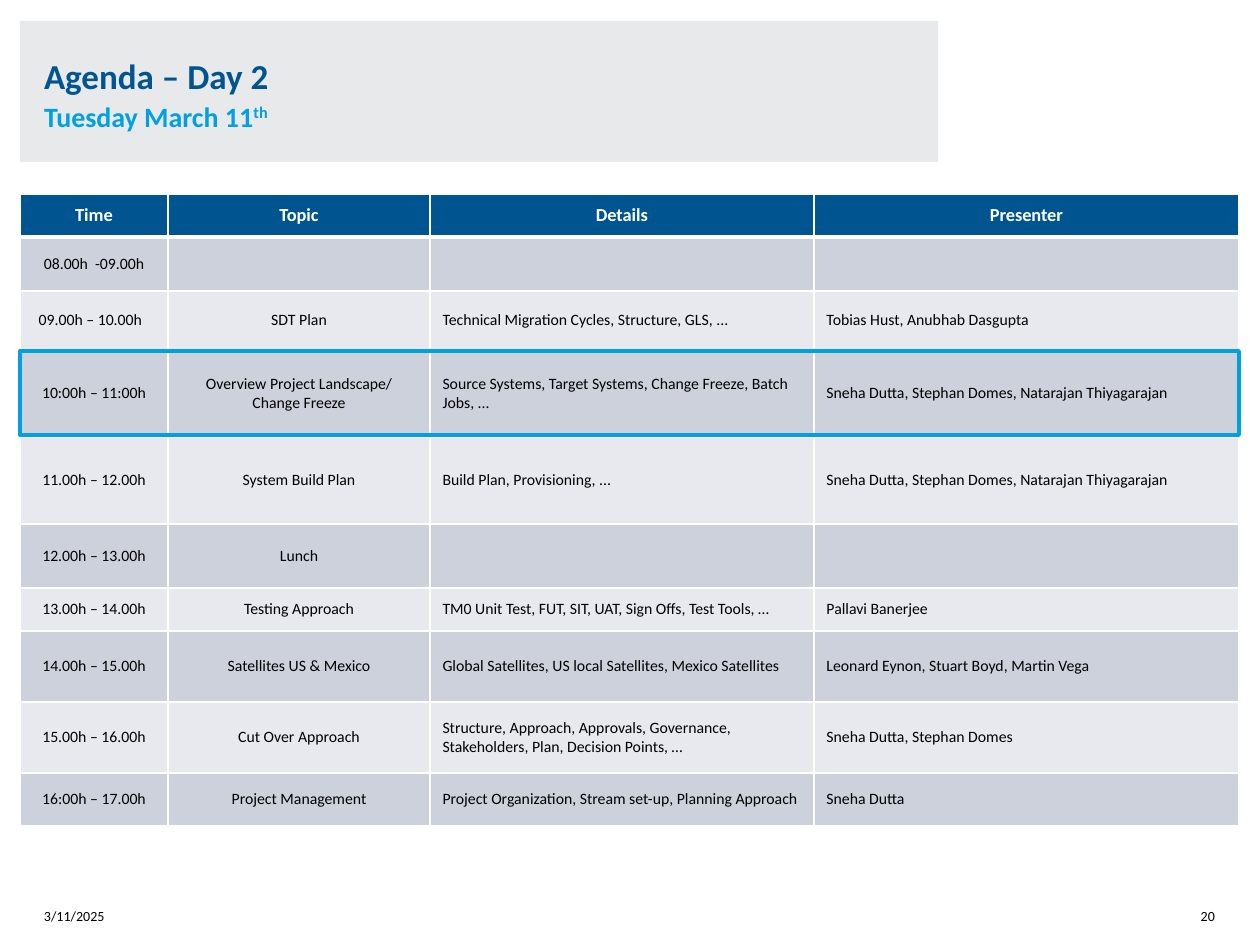
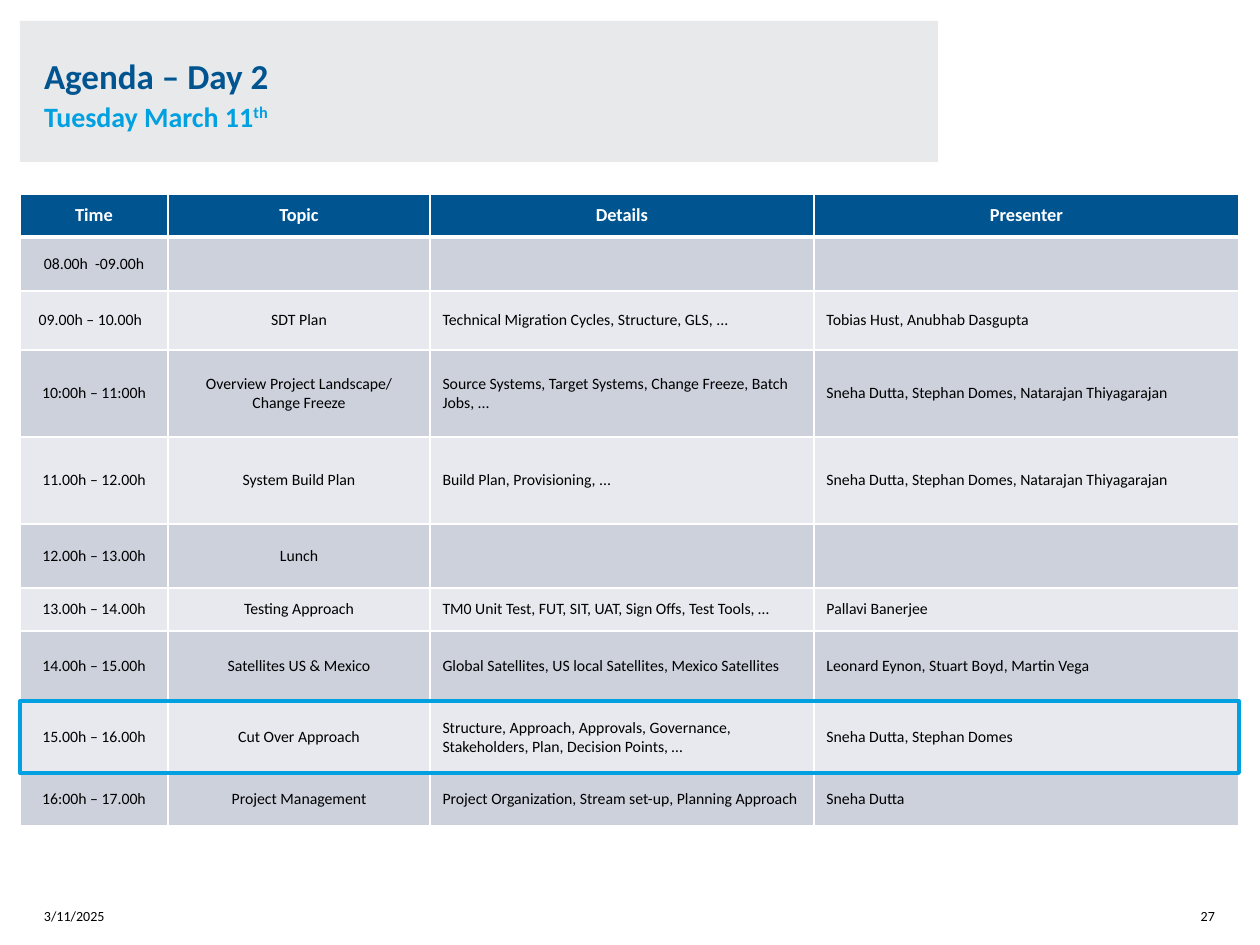
"""Build two agenda slides that each highlight the current session."""
import lxml.etree
import pptx
import pptx.dml.color
import pptx.enum.shapes
import pptx.enum.text
import pptx.oxml.ns
import pptx.util

SCALE = 914400 // 126
FONT = "Calibri"
COLORS = {
    "navy": "005591",
    "sky": "00A0E1",
    "band": "E8E9EB",
    "odd_row": "CCD1DC",
    "even_row": "E7E9EE",
    "white": "FFFFFF",
    "black": "000000",
}
ALIGN = pptx.enum.text.PP_ALIGN
ANCHOR = pptx.enum.text.MSO_ANCHOR
RECTANGLE = pptx.enum.shapes.MSO_SHAPE.RECTANGLE

TITLE = "Agenda – Day 2"
SUBTITLE = "Tuesday March 11"
ORDINAL = "th"
DATE = "3/11/2025"
HEADER = ("Time", "Topic", "Details", "Presenter")
SESSIONS = [
    ("08.00h  -09.00h", "", "", ""),
    ("09.00h – 10.00h", "SDT Plan", "Technical Migration Cycles, Structure, GLS, ...",
     "Tobias Hust, Anubhab Dasgupta"),
    ("10:00h – 11:00h", "Overview Project Landscape/ Change Freeze",
     "Source Systems, Target Systems, Change Freeze, Batch Jobs, ...",
     "Sneha Dutta, Stephan Domes, Natarajan Thiyagarajan"),
    ("11.00h – 12.00h", "System Build Plan", "Build Plan, Provisioning, ...",
     "Sneha Dutta, Stephan Domes, Natarajan Thiyagarajan"),
    ("12.00h – 13.00h", "Lunch", "", ""),
    ("13.00h – 14.00h", "Testing Approach",
     "TM0 Unit Test, FUT, SIT, UAT, Sign Offs, Test Tools, …", "Pallavi Banerjee"),
    ("14.00h – 15.00h", "Satellites US & Mexico",
     "Global Satellites, US local Satellites, Mexico Satellites",
     "Leonard Eynon, Stuart Boyd, Martin Vega"),
    ("15.00h – 16.00h", "Cut Over Approach",
     "Structure, Approach, Approvals, Governance, Stakeholders, Plan, Decision Points, …",
     "Sneha Dutta, Stephan Domes"),
    ("16:00h – 17.00h", "Project Management",
     "Project Organization, Stream set-up, Planning Approach", "Sneha Dutta"),
]
SLIDES = [
    {"page": "20", "highlight_top": 351, "highlight_height": 84},
    {"page": "27", "highlight_top": 701, "highlight_height": 72},
]

BAND = (20, 21, 918, 141)
DATE_BOX = (44, 889, 100, 35)
PAGE_BOX = (1166, 889, 49, 35)
TABLE_LEFT, TABLE_TOP = 20, 194
COLUMN_WIDTHS = [148, 262, 384, 425]
ROW_HEIGHTS = [43, 54, 59, 87, 87, 64, 43, 71, 71, 53]
TABLE_WIDTH = sum(COLUMN_WIDTHS)
WIDE_RIGHT_MARGINS = {"09.00h – 10.00h": 20}


def px(length):
    return pptx.util.Emu(length * SCALE)


def place(rect):
    return [px(length) for length in rect]


def rgb(name):
    return pptx.dml.color.RGBColor.from_string(COLORS[name])


def style(font, size, color, bold=False):
    font.name = FONT
    font.size = pptx.util.Pt(size)
    font.bold = bold
    font.color.rgb = rgb(color)


def add_span(para, text, size, color, bold=False):
    span = para.add_run()
    span.text = text
    style(span.font, size, color, bold)
    return span


def add_box(slide, rect, anchor, side_inset=0):
    frame = slide.shapes.add_textbox(*place(rect)).text_frame
    frame.word_wrap = True
    frame.vertical_anchor = anchor
    frame.margin_left = frame.margin_right = px(side_inset)
    frame.margin_top = frame.margin_bottom = 0
    return frame.paragraphs[0]


def add_rectangle(slide, rect):
    shape = slide.shapes.add_shape(RECTANGLE, *place(rect))
    shape.shadow.inherit = False
    return shape


def add_title(slide):
    band = add_rectangle(slide, BAND)
    band.fill.solid()
    band.fill.fore_color.rgb = rgb("band")
    band.line.fill.background()
    para = add_box(slide, BAND, ANCHOR.MIDDLE, 24)
    para.line_spacing = 1.1
    add_span(para, TITLE, 20, "navy", True)
    para.add_line_break()
    add_span(para, SUBTITLE, 16, "sky", True)
    ordinal = add_span(para, ORDINAL, 16, "sky", True)
    ordinal.font._element.set("baseline", "30000")


def add_footer(slide, page):
    add_span(add_box(slide, DATE_BOX, ANCHOR.BOTTOM), DATE, 8, "black")
    para = add_box(slide, PAGE_BOX, ANCHOR.BOTTOM)
    para.alignment = ALIGN.RIGHT
    add_span(para, page, 8, "black")


def add_borders(cell, top, bottom):
    properties = cell._tc.get_or_add_tcPr()
    qn = pptx.oxml.ns.qn
    for side, width in (("L", 1), ("R", 1), ("T", top), ("B", bottom)):
        line = lxml.etree.SubElement(properties, qn("a:ln" + side), w=str(width * 12700))
        fill = lxml.etree.SubElement(line, qn("a:solidFill"))
        lxml.etree.SubElement(fill, qn("a:srgbClr"), val=COLORS["white"])


def fill_cell(cell, text, row, column):
    is_header = row == 0
    add_borders(cell, 3 if row == 1 else 1, 3 if is_header else 1)
    cell.fill.solid()
    cell.fill.fore_color.rgb = rgb("navy" if is_header else "odd_row" if row % 2 else "even_row")
    cell.vertical_anchor = ANCHOR.MIDDLE
    if text in WIDE_RIGHT_MARGINS:
        cell.margin_right = px(WIDE_RIGHT_MARGINS[text])
    para = cell.text_frame.paragraphs[0]
    para.alignment = ALIGN.CENTER if is_header or column < 2 else ALIGN.LEFT
    size, color = (10.5, "white") if is_header else (9, "black")
    if text:
        add_span(para, text, size, color, is_header)
    else:
        para.font.size = pptx.util.Pt(size)


def add_agenda(slide):
    rows = [HEADER] + SESSIONS
    rect = (TABLE_LEFT, TABLE_TOP, TABLE_WIDTH, sum(ROW_HEIGHTS))
    table = slide.shapes.add_table(len(rows), len(HEADER), *place(rect)).table
    for column, width in zip(table.columns, COLUMN_WIDTHS):
        column.width = px(width)
    for table_row, height in zip(table.rows, ROW_HEIGHTS):
        table_row.height = px(height)
    for row, texts in enumerate(rows):
        for column, text in enumerate(texts):
            fill_cell(table.cell(row, column), text, row, column)


def add_highlight(slide, top, height):
    frame = add_rectangle(slide, (TABLE_LEFT, top, TABLE_WIDTH, height))
    frame.fill.background()
    frame.line.color.rgb = rgb("sky")
    frame.line.width = pptx.util.Pt(2.25)


def main():
    deck = pptx.Presentation()
    deck.slide_width, deck.slide_height = px(1260), px(945)
    for content in SLIDES:
        slide = deck.slides.add_slide(deck.slide_layouts[6])
        add_title(slide)
        add_footer(slide, content["page"])
        add_agenda(slide)
        add_highlight(slide, content["highlight_top"], content["highlight_height"])
    deck.save("out.pptx")


if __name__ == "__main__":
    main()
